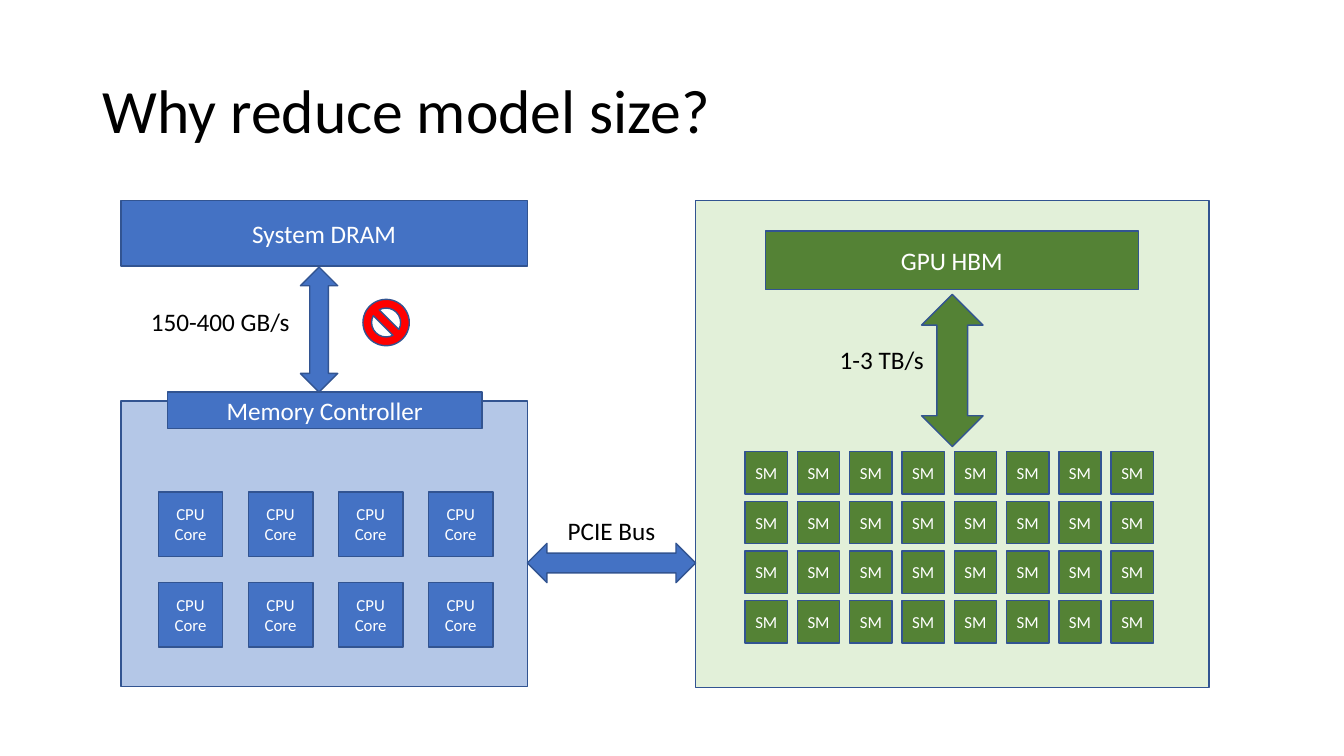
from dataclasses import dataclass

from pptx import Presentation
from pptx.dml.color import RGBColor
from pptx.enum.shapes import MSO_SHAPE as Preset
from pptx.enum.text import MSO_ANCHOR as Anchor, PP_ALIGN as Align
from pptx.slide import Slide
from pptx.text.text import TextFrame
from pptx.util import Inches, Pt

FONT = "Calibri"
BLUE, PALE_BLUE, OUTLINE = "4472C4", "B4C7E7", "325491"
GREEN, PALE_GREEN = "548235", "E2F0D9"
RED, BLACK, WHITE = "FF0000", "000000", "FFFFFF"


@dataclass
class Block:
    left: float
    top: float
    width: float
    height: float
    fill: str
    text: str = ""
    size: int = 18
    preset: Preset = Preset.RECTANGLE


@dataclass
class Label:
    left: float
    top: float
    width: float
    height: float
    text: str
    align: Align
    size: int = 18
    anchor: Anchor = Anchor.TOP
    line_spacing: float = 1.0


@dataclass
class Grid:
    """Equal square blocks, spaced evenly from the first to the last corner."""
    first: tuple[float, float]
    last: tuple[float, float]
    columns: int
    rows: int
    side: float
    fill: str
    text: str

    def blocks(self) -> list[Block]:
        step_x = (self.last[0] - self.first[0]) / (self.columns - 1)
        step_y = (self.last[1] - self.first[1]) / (self.rows - 1)
        return [
            Block(self.first[0] + column * step_x, self.first[1] + row * step_y,
                  self.side, self.side, self.fill, self.text, size=12)
            for row in range(self.rows)
            for column in range(self.columns)
        ]


def color(value: str) -> RGBColor:
    return RGBColor.from_string(value)


def write(frame: TextFrame, text: str, size: int, ink: str, align: Align,
          line_spacing: float = 1.0) -> None:
    frame.text = text
    for paragraph in frame.paragraphs:
        paragraph.alignment = align
        paragraph.line_spacing = line_spacing
        paragraph.font.name = FONT
        paragraph.font.size = Pt(size)
        paragraph.font.color.rgb = color(ink)


def draw_block(slide: Slide, block: Block) -> None:
    shape = slide.shapes.add_shape(
        block.preset, Inches(block.left), Inches(block.top),
        Inches(block.width), Inches(block.height))
    shape.shadow.inherit = False
    shape.fill.solid()
    shape.fill.fore_color.rgb = color(block.fill)
    shape.line.color.rgb = color(OUTLINE)
    shape.line.width = Pt(1)
    if block.text:
        shape.text_frame.word_wrap = False
        shape.text_frame.vertical_anchor = Anchor.MIDDLE
        write(shape.text_frame, block.text, block.size, WHITE, Align.CENTER)


def draw_label(slide: Slide, label: Label) -> None:
    frame = slide.shapes.add_textbox(
        Inches(label.left), Inches(label.top),
        Inches(label.width), Inches(label.height)).text_frame
    frame.word_wrap = True
    frame.vertical_anchor = label.anchor
    write(frame, label.text, label.size, BLACK, label.align, label.line_spacing)


# CPU side
CPU_SIDE = [
    Block(1.2, 1.99, 4.03, 0.65, BLUE, "System DRAM"),
    Block(1.2, 3.98, 4.03, 2.83, PALE_BLUE),
    Block(1.66, 3.89, 3.12, 0.36, BLUE, "Memory Controller"),
    Block(2.98, 2.65, 0.37, 1.24, BLUE, preset=Preset.UP_DOWN_ARROW),
    Block(3.6, 2.97, 0.46, 0.46, RED, preset=Preset.NO_SYMBOL),
]
CPU_CORES = Grid((1.57, 4.88), (4.25, 5.78), 4, 2, 0.64, BLUE, "CPU\nCore")

# GPU side
GPU_SIDE = [
    Block(6.9, 1.99, 5.09, 4.83, PALE_GREEN),
    Block(7.59, 2.29, 3.7, 0.58, GREEN, "GPU HBM"),
    Block(9.14, 2.92, 0.61, 1.51, GREEN, preset=Preset.UP_DOWN_ARROW),
]
MULTIPROCESSORS = Grid((7.39, 4.48), (11.02, 5.96), 8, 4, 0.42, GREEN, "SM")

# Link between the two sides
PCIE_BUS = Block(5.23, 5.39, 1.67, 0.39, BLUE, preset=Preset.LEFT_RIGHT_ARROW)

# Title and bandwidths
LABELS = [
    Label(0.92, 0.4, 11.5, 1.45, "Why reduce model size?", Align.LEFT,
          size=44, anchor=Anchor.MIDDLE, line_spacing=0.9),
    Label(5.36, 5.06, 1.41, 0.41, "PCIE Bus", Align.CENTER),
    Label(1.35, 2.99, 1.62, 0.4, "150-400 GB/s", Align.RIGHT),
    Label(7.64, 3.37, 1.62, 0.4, "1-3 TB/s", Align.RIGHT),
]


def main() -> None:
    deck = Presentation()
    deck.slide_width, deck.slide_height = Inches(13.33), Inches(7.5)
    slide = deck.slides.add_slide(deck.slide_layouts[6])
    for block in [*CPU_SIDE, *CPU_CORES.blocks(), *GPU_SIDE,
                  *MULTIPROCESSORS.blocks(), PCIE_BUS]:
        draw_block(slide, block)
    for label in LABELS:
        draw_label(slide, label)
    deck.save("out.pptx")


if __name__ == "__main__":
    main()
